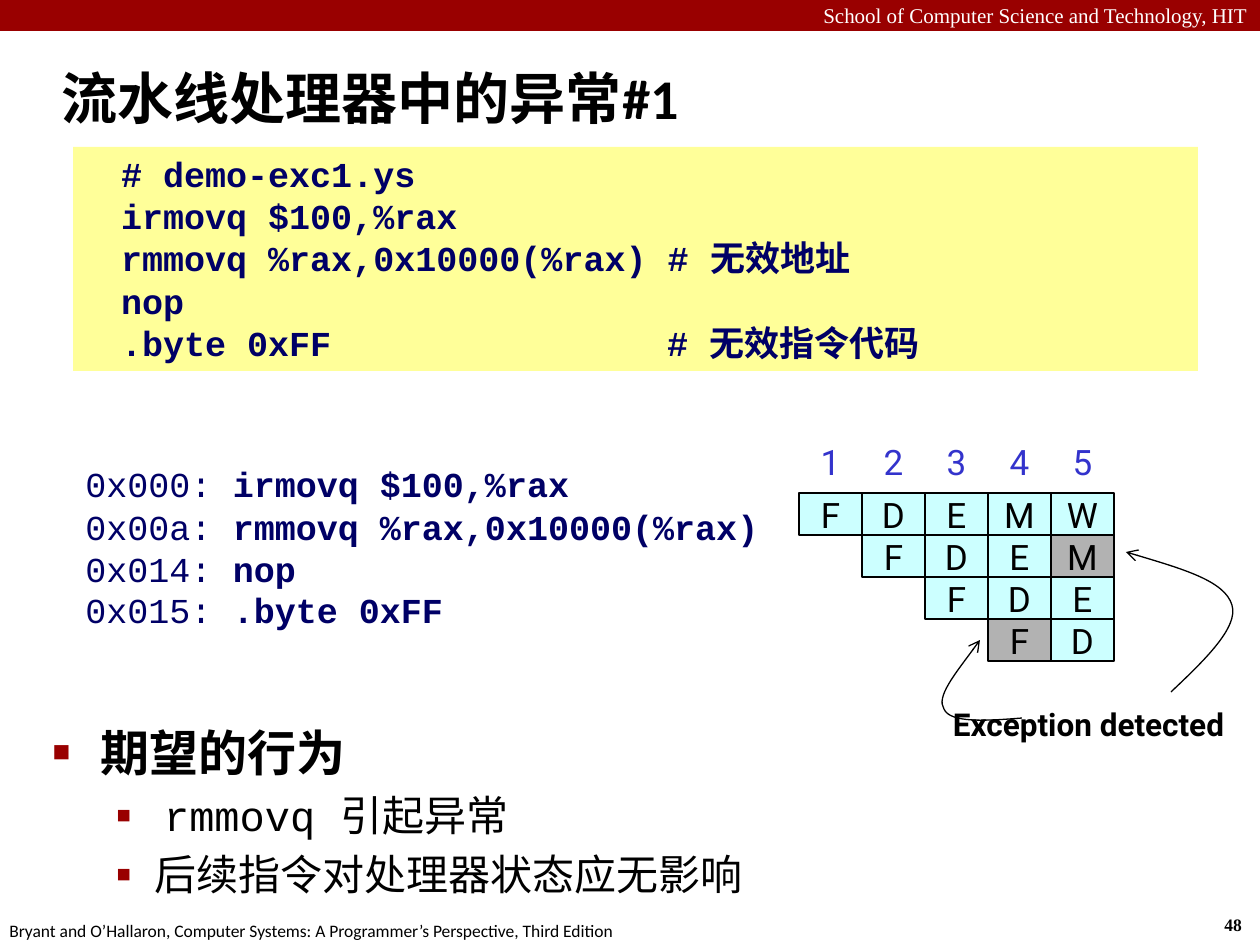
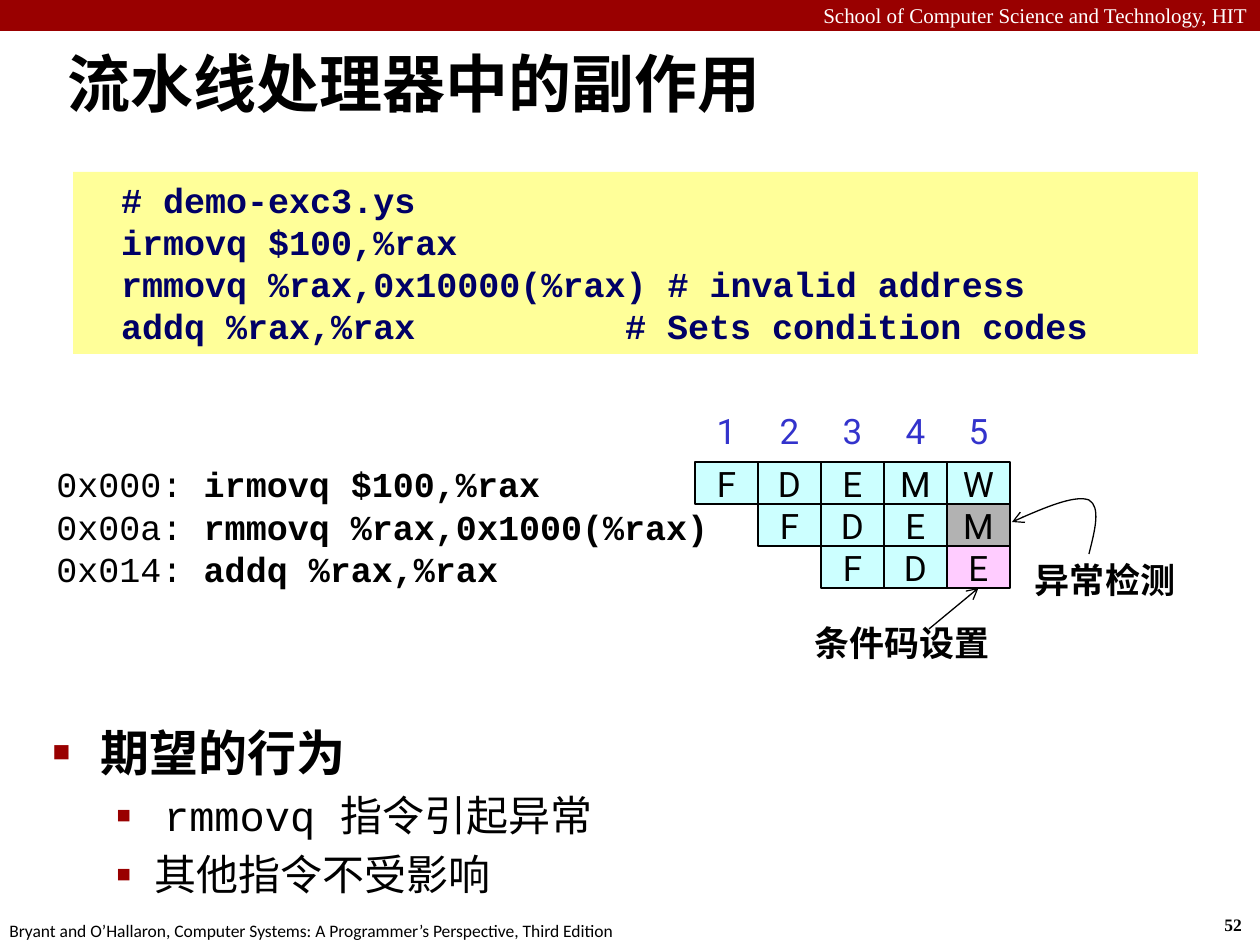
from itertools import islice

from lxml.etree import SubElement
from pptx import Presentation
from pptx.dml.color import RGBColor
from pptx.enum.shapes import MSO_CONNECTOR, MSO_SHAPE
from pptx.enum.text import MSO_ANCHOR as ANCHOR, MSO_AUTO_SIZE, PP_ALIGN as ALIGN
from pptx.oxml.ns import qn
from pptx.util import Emu, Pt

PX = 914400 / 126
SLIDE_W, SLIDE_H = 1260, 945
COL_W, ROW_H, CHAR_W = 63, 42, 21

BLACK = RGBColor(0x00, 0x00, 0x00)
WHITE = RGBColor(0xFF, 0xFF, 0xFF)
CRIMSON = RGBColor(0x99, 0x00, 0x00)
NAVY = RGBColor(0x00, 0x00, 0x66)
CYCLE_BLUE = RGBColor(0x33, 0x33, 0xCC)
CODE_YELLOW = RGBColor(0xFF, 0xFF, 0x99)
STAGE_CYAN = RGBColor(0xCC, 0xFF, 0xFF)
FAULT_GRAY = RGBColor(0xB2, 0xB2, 0xB2)
FLAGS_PINK = RGBColor(0xFF, 0xCC, 0xFF)

SANS, MONO, SERIF, LABEL = "Calibri", "Courier New", "Times New Roman", "Roboto"
SCHOOL = "School of Computer Science and Technology, HIT"
BOOK = ("Bryant and O’Hallaron, Computer Systems: "
        "A Programmer’s Perspective, Third Edition")


def px(length):
    return Emu(round(length * PX))


def emus(box):
    return [px(length) for length in box]


def style(font, name, size, color=BLACK, bold=False):
    font.name, font.size, font.bold = name, Pt(size), bold
    font.color.rgb = color


def add_rect(slide, box, fill, outline=None):
    rect = slide.shapes.add_shape(MSO_SHAPE.RECTANGLE, *emus(box))
    rect.shadow.inherit = False
    rect.fill.solid()
    rect.fill.fore_color.rgb = fill
    if outline is None:
        rect.line.fill.background()
    else:
        rect.line.color.rgb = outline
        rect.line.width = Pt(1)
    return rect


def write_line(shape, text, *font, align=ALIGN.LEFT, anchor=ANCHOR.MIDDLE, wrap=False):
    """Fill a shape with one paragraph and return that paragraph."""
    frame = shape.text_frame
    frame.word_wrap, frame.vertical_anchor = wrap, anchor
    paragraph = frame.paragraphs[0]
    paragraph.text, paragraph.alignment = text, align
    style(paragraph.font, *font)
    return paragraph


def add_label(slide, box, text, *font, **layout):
    label = slide.shapes.add_textbox(*emus(box))
    return label, write_line(label, text, *font, anchor=ANCHOR.TOP, **layout)


def add_callout(slide, box, text, size, align=ALIGN.LEFT):
    callout, paragraph = add_label(slide, box, text, LABEL, size, BLACK, True, align=align)
    frame = callout.text_frame
    frame.margin_left = frame.margin_right = px(6)
    paragraph.line_spacing = 0.9


def finish_arrow(arrow):
    arrow.line.color.rgb = BLACK
    arrow.line.width = Pt(0.75)
    properties = arrow.element.spPr
    SubElement(properties.find(qn("a:ln")), qn("a:tailEnd"), type="arrow")
    if properties.find(qn("a:effectLst")) is None:
        SubElement(properties, qn("a:effectLst"))


def add_curved_arrow(slide, start, *controls):
    """Draw Bezier segments, each given by three consecutive control points."""
    builder = slide.shapes.build_freeform(*start, scale=PX)
    builder.add_line_segments(controls, close=False)
    curve = builder.convert_to_shape()
    curve.fill.background()
    outline = next(curve.element.iter(qn("a:path")))
    segments = iter(outline.findall(qn("a:lnTo")))
    while triple := list(islice(segments, 3)):
        bezier = SubElement(outline, qn("a:cubicBezTo"))
        for segment in triple:
            bezier.append(segment[0])
            outline.remove(segment)
    finish_arrow(curve)


def add_bullet(paragraph, char, percent, margin, hanging):
    properties = paragraph._p.get_or_add_pPr()
    properties.set("marL", str(px(margin)))
    properties.set("indent", str(-px(hanging)))
    color = SubElement(properties, qn("a:buClr"))
    SubElement(color, qn("a:srgbClr"), val=str(CRIMSON))
    SubElement(properties, qn("a:buSzPct"), val=str(percent * 1000))
    SubElement(properties, qn("a:buChar"), char=char)


def start_slide(deck, title, title_box, title_size, number):
    """Add a slide with its title, top band and footer."""
    slide = deck.slides.add_slide(deck.slide_layouts[1])
    add_rect(slide, (0, 0, SLIDE_W, 31), CRIMSON)
    add_label(slide, (0, -4, SLIDE_W, 38), SCHOOL, SERIF, 12, WHITE,
              align=ALIGN.RIGHT, wrap=True)
    add_label(slide, (1212, 908, 47, 34), str(number), SERIF, 10, BLACK, True)
    add_label(slide, (-3, 914, 640, 34), BOOK, SANS, 10)
    heading = slide.shapes.title
    heading.left, heading.top, heading.width, heading.height = emus(title_box)
    heading.text_frame.auto_size = MSO_AUTO_SIZE.NONE
    write_line(heading, title, SANS, title_size, BLACK, True, wrap=True)
    return slide


def fill_expectations(slide, cause, effect):
    body = slide.placeholders[1]
    body.left, body.top, body.width, body.height = emus((40, 716, 1144, 163))
    frame = body.text_frame
    frame.auto_size, frame.vertical_anchor = MSO_AUTO_SIZE.NONE, ANCHOR.TOP
    goal = frame.paragraphs[0]
    goal.text = "期望的行为"
    add_bullet(goal, "■", 60, 48, 48)
    style(goal.font, SANS, 28, BLACK, True)
    goal.space_before = Pt(5.6)

    for parts in ([(" ", SANS), ("rmmovq ", MONO), (cause, SANS)], [(effect, SANS)]):
        point = frame.add_paragraph()
        point.level = 1
        add_bullet(point, "▪", 110, 102, 39)
        point.space_before = Pt(4.8)
        for text, font in parts:
            run = point.add_run()
            run.text = text
            style(run.font, font, 24)


def add_source_code(slide, top, height, comment_column, lines):
    """Show a listing; a tab in a line leads to the comment column."""
    panel = add_rect(slide, (73, top, 1125, height), CODE_YELLOW)
    frame = panel.text_frame
    frame.word_wrap, frame.vertical_anchor = True, ANCHOR.TOP
    frame.margin_left = px(6 + 2 * CHAR_W)
    frame.margin_top = frame.margin_right = frame.margin_bottom = px(6)
    for index, line in enumerate(lines):
        paragraph = frame.add_paragraph() if index else frame.paragraphs[0]
        paragraph.text, paragraph.alignment = line, ALIGN.LEFT
        tabs = SubElement(paragraph._p.get_or_add_pPr(), qn("a:tabLst"))
        SubElement(tabs, qn("a:tab"), pos=str(px(comment_column * CHAR_W)), algn="l")
        style(paragraph.font, MONO, 20, NAVY, True)


def add_program(slide, left, top, color, instructions):
    for row, (address, instruction) in enumerate(instructions):
        line = add_rect(slide, (left, top + row * ROW_H, 358, ROW_H), WHITE)
        paragraph = write_line(line, f"{address}: ", MONO, 20, color)
        code = paragraph.add_run()
        code.text, code.font.bold = instruction, True


def add_pipeline(slide, left, top, row_count, marked):
    """Draw cycle numbers and staggered stages; return cells by (row, cycle)."""
    stages, cells = "FDEMW", {}
    for column in range(len(stages)):
        x = left + column * COL_W
        cycle = add_rect(slide, (x, top - 53, COL_W, ROW_H), WHITE)
        write_line(cycle, str(column + 1), LABEL, 20, CYCLE_BLUE, align=ALIGN.CENTER)
        for row in range(min(row_count, column + 1)):
            key = row, column + 1
            cell = add_rect(slide, (x, top + row * ROW_H, COL_W, ROW_H),
                            marked.get(key, STAGE_CYAN), BLACK)
            write_line(cell, stages[column - row], LABEL, 20, align=ALIGN.CENTER)
            cells[key] = cell
    return cells


def build_exceptions(deck):
    slide = start_slide(deck, "流水线处理器中的异常#1", (49, 45, 1211, 105), 32, 48)
    fill_expectations(slide, "引起异常", "后续指令对处理器状态应无影响")
    add_source_code(slide, 147, 224, 26, [
        "# demo-exc1.ys",
        "irmovq $100,%rax",
        "rmmovq %rax,0x10000(%rax) # 无效地址",
        "nop",
        ".byte 0xFF\t# 无效指令代码",
    ])
    add_program(slide, 73, 463, NAVY, [
        ("0x000", "irmovq $100,%rax"),
        ("0x00a", "rmmovq %rax,0x10000(%rax)"),
        ("0x014", "nop"),
        ("0x015", ".byte 0xFF"),
    ])
    add_pipeline(slide, 799, 493, 4, {(1, 5): FAULT_GRAY, (3, 4): FAULT_GRAY})
    add_callout(slide, (947, 703, 304, 48), "Exception detected", 18)
    add_curved_arrow(slide, (1171, 692), (1205, 660), (1239, 627), (1232, 605),
                     (1225, 581), (1176, 567), (1126, 552))
    add_curved_arrow(slide, (1022, 718), (985, 721), (950, 723), (944, 709),
                     (936, 697), (959, 669), (980, 640))


def build_side_effects(deck):
    slide = start_slide(deck, "流水线处理器中的副作用", (55, 34, 1037, 96), 36, 52)
    fill_expectations(slide, "指令引起异常", "其他指令不受影响")
    add_source_code(slide, 172, 182, 24, [
        "# demo-exc3.ys",
        "irmovq $100,%rax",
        "rmmovq %rax,0x10000(%rax) # invalid address",
        "addq %rax,%rax\t# Sets condition codes",
    ])
    add_program(slide, 44, 463, BLACK, [
        ("0x000", "irmovq $100,%rax"),
        ("0x00a", "rmmovq %rax,0x1000(%rax)"),
        ("0x014", "addq %rax,%rax"),
    ])
    cells = add_pipeline(slide, 695, 462, 3, {(1, 5): FAULT_GRAY, (2, 5): FLAGS_PINK})
    add_callout(slide, (1029, 557, 199, 50), "异常检测", 20)
    flags_arrow = slide.shapes.add_connector(
        MSO_CONNECTOR.STRAIGHT, *emus((929, 629, 979, 588)))
    flags_arrow.end_connect(cells[2, 5], 2)
    finish_arrow(flags_arrow)
    add_callout(slide, (808, 620, 189, 50), "条件码设置", 20, ALIGN.CENTER)
    add_curved_arrow(slide, (1089, 554), (1095, 530), (1101, 507), (1089, 500),
                     (1076, 495), (1043, 508), (1012, 522))


def main():
    deck = Presentation()
    deck.slide_width, deck.slide_height = px(SLIDE_W), px(SLIDE_H)
    build_exceptions(deck)
    build_side_effects(deck)
    deck.save("out.pptx")


if __name__ == "__main__":
    main()
